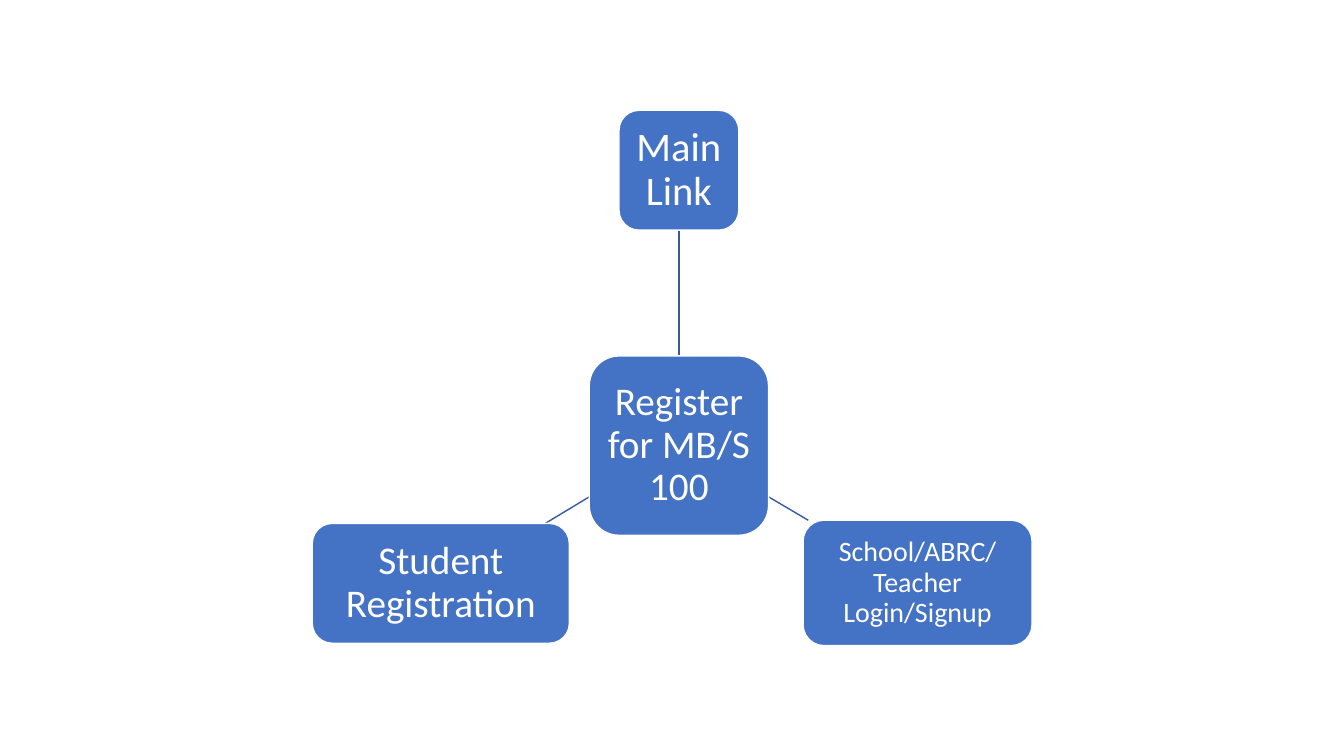
from dataclasses import dataclass

from lxml.etree import SubElement
from pptx import Presentation
from pptx.dml.color import RGBColor as Rgb
from pptx.enum.shapes import MSO_CONNECTOR as Conn, MSO_SHAPE as Shape
from pptx.enum.text import MSO_ANCHOR as Anchor, PP_ALIGN as Align
from pptx.oxml.ns import qn
from pptx.slide import Slide
from pptx.util import Cm, Pt


@dataclass(frozen=True)
class Theme:
    font: str = "Calibri"
    fill: Rgb = Rgb(0x44, 0x72, 0xC4)
    line: Rgb = Rgb(0x36, 0x5B, 0x9D)
    white: Rgb = Rgb(0xFF, 0xFF, 0xFF)
    large: int = 29
    normal: int = 28
    small: int = 20
    stroke: int = 1


@dataclass(frozen=True)
class Node:
    text: str
    left: float
    top: float
    width: float
    height: float
    size: int
    inset: float = 0.2


@dataclass(frozen=True)
class Link:
    x1: float
    y1: float
    x2: float
    y2: float


THEME = Theme()

# Lengths in centimetres
HUB = Node("Register for MB/S 100", 14.85, 8.97, 4.52, 4.52, THEME.normal)
MAIN = Node("Main Link", 15.6, 2.78, 3.02, 3.02, THEME.large)
SCHOOL = Node("School/ABRC/Teacher Login/Signup", 20.24, 13.11, 5.77, 3.16, THEME.small, 0.15)
STUDENT = Node("Student Registration", 7.87, 13.19, 6.48, 3.02, THEME.normal)
NODES = [HUB, MAIN, SCHOOL, STUDENT]

MID = HUB.left + HUB.width / 2
RIGHT = HUB.left + HUB.width
SIDE = 12.52  # height where the lower links leave the hub
LINKS = [
    Link(MID, HUB.top, MID, MAIN.top + MAIN.height),
    Link(RIGHT, SIDE, 20.37, SCHOOL.top),
    Link(HUB.left, SIDE, 13.74, STUDENT.top),
]


def draw_link(slide: Slide, link: Link) -> None:
    line = slide.shapes.add_connector(
        Conn.STRAIGHT, Cm(link.x1), Cm(link.y1), Cm(link.x2), Cm(link.y2))
    line.line.color.rgb = THEME.line
    line.line.width = Pt(THEME.stroke)
    SubElement(line._element.spPr, qn("a:effectLst"))


def draw_node(slide: Slide, node: Node) -> None:
    box = slide.shapes.add_shape(
        Shape.ROUNDED_RECTANGLE,
        Cm(node.left), Cm(node.top), Cm(node.width), Cm(node.height))
    box.shadow.inherit = False
    box.fill.solid()
    box.fill.fore_color.rgb = THEME.fill
    box.line.color.rgb = THEME.white
    box.line.width = Pt(THEME.stroke)

    # Label
    frame = box.text_frame
    frame.text = node.text
    frame.word_wrap = True
    frame.vertical_anchor = Anchor.MIDDLE
    frame.margin_left = frame.margin_right = Cm(node.inset)
    frame.margin_top = frame.margin_bottom = Cm(node.inset)
    para = frame.paragraphs[0]
    para.alignment = Align.CENTER
    para.line_spacing = 0.9
    font = para.runs[0].font
    font.name = THEME.font
    font.size = Pt(node.size)
    font.color.rgb = THEME.white


def main() -> None:
    deck = Presentation()
    deck.slide_width, deck.slide_height = Cm(33.87), Cm(19.05)
    slide = deck.slides.add_slide(deck.slide_layouts[6])

    # Links lie behind the boxes
    for link in LINKS:
        draw_link(slide, link)
    for node in NODES:
        draw_node(slide, node)
    deck.save("out.pptx")


if __name__ == "__main__":
    main()
